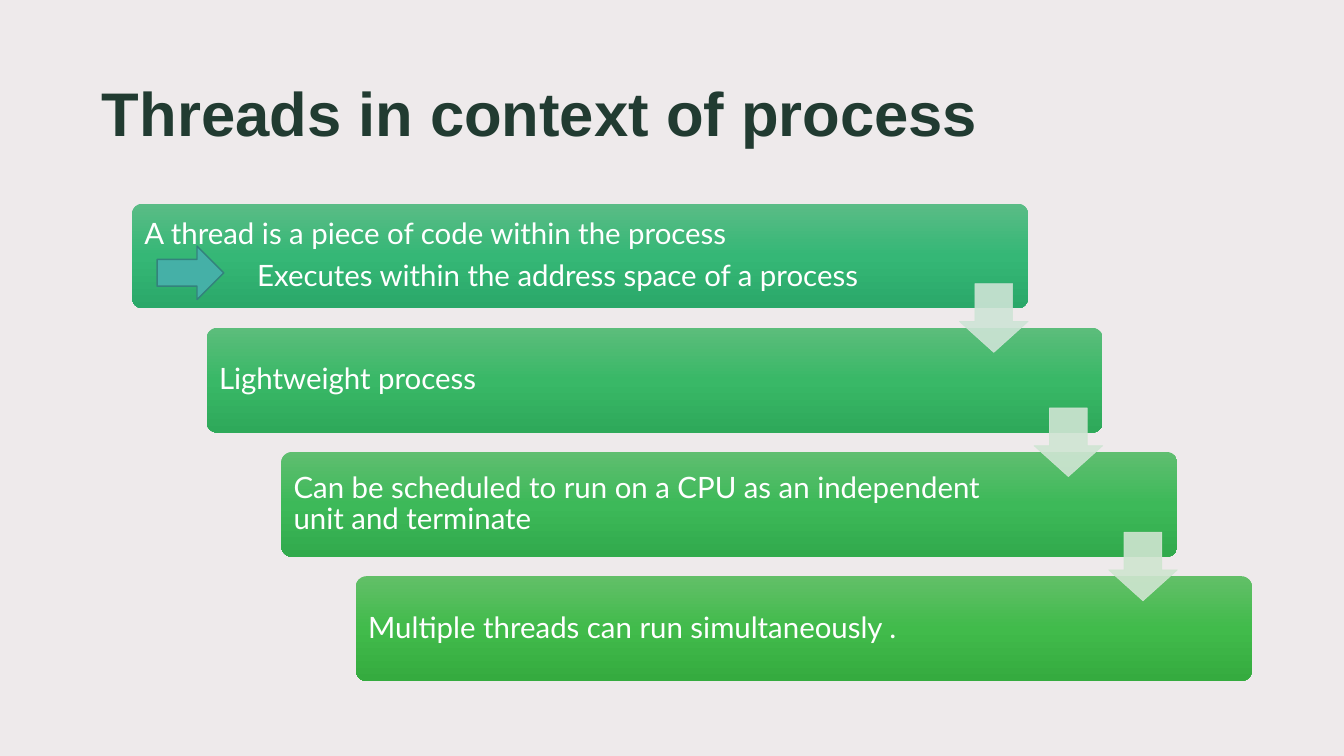
import copy

import pptx
import pptx.util
import pptx.dml.color
import pptx.enum.shapes
import pptx.enum.text
import pptx.oxml
import pptx.oxml.ns

Cm = pptx.util.Cm
Pt = pptx.util.Pt
qn = pptx.oxml.ns.qn
Shape = pptx.enum.shapes.MSO_SHAPE
Anchor = pptx.enum.text.MSO_ANCHOR

LEFT, TOP = 3.33, 5.13
STEP_X, STEP_Y = 1.88, 3.13
BAR_W, BAR_H = 22.58, 2.64
EDGE = 0.08

# Each step: its lines as (text, indent in cm), then its gradient colours
STEPS = [
    ([("A thread is a piece of code within the process", 0),
      ("Executes within the address space of a process", 2.84)],
     ("5ABC86", "35B776", "2AA869")),
    ([("Lightweight process", 0)],
     ("5CBD7B", "39B867", "2EA95A")),
    ([("Can be scheduled to run on a CPU as an independent unit and terminate", 0)],
     ("5FBE70", "3DB959", "31AA4C")),
    ([("Multiple threads can run simultaneously .", 0)],
     ("62BF68", "41BB4B", "35AB3F")),
]
ARROWS = ["CEE4D6", "CFE5D3", "CFE5D0"]


def rgb(code):
    return pptx.dml.color.RGBColor.from_string(code)


def add_form(slide, kind, x, y, w, h):
    form = slide.shapes.add_shape(kind, Cm(x), Cm(y), Cm(w), Cm(h))
    form.shadow.inherit = False
    return form


def shade(form, colors):
    """Fill from top to bottom with evenly spaced gradient stops."""
    form.fill.gradient()
    form.fill.gradient_angle = 270
    stops = form._element.spPr.find(".//" + qn("a:gsLst"))
    stops.insert(1, copy.deepcopy(stops[0]))
    for i, (stop, color) in enumerate(zip(form.fill.gradient_stops, colors)):
        stop.position = i / (len(colors) - 1)
        stop.color.rgb = rgb(color)


def fade(form, percent):
    """Set the opacity of every plain colour in the fill and line."""
    for color in form._element.spPr.iter(qn("a:srgbClr")):
        alpha = pptx.oxml.parse_xml(
            '<a:alpha xmlns:a="http://schemas.openxmlformats.org/'
            f'drawingml/2006/main" val="{percent * 1000}"/>')
        color.append(alpha)


def add_box(slide, x, y, w, h, inset, anchor):
    box = slide.shapes.add_textbox(Cm(x), Cm(y), Cm(w), Cm(h))
    frame = box.text_frame
    frame.word_wrap = True
    frame.vertical_anchor = anchor
    frame.margin_left = frame.margin_right = Cm(0.23)
    frame.margin_top = frame.margin_bottom = Cm(inset)
    return frame


def add_run(para, text, font, size, color, bold=False):
    run = para.add_run()
    run.text = text
    run.font.name = font
    run.font.size = Pt(size)
    run.font.bold = bold
    run.font.color.rgb = rgb(color)


def add_title(slide, text):
    frame = add_box(slide, 2.34, 1.55, 28.75, 3.56, 0.33, Anchor.TOP)
    add_run(frame.paragraphs[0], text, "Arial", 44, "213B31", True)


def add_bar(slide, x, y, lines, colors):
    bar = add_form(slide, Shape.ROUNDED_RECTANGLE, x, y, BAR_W, BAR_H)
    bar.adjustments[0] = 0.1
    bar.line.fill.background()
    shade(bar, colors)
    frame = add_box(slide, x + EDGE, y + EDGE, 18.8, BAR_H - 2 * EDGE,
                    0.23, Anchor.MIDDLE)
    for i, (text, indent) in enumerate(lines):
        para = frame.add_paragraph() if i else frame.paragraphs[0]
        para.line_spacing = 0.9
        para.space_after = Pt(7.35)
        if indent:
            para._p.get_or_add_pPr().set("marL", str(Cm(indent)))
        add_run(para, text, "Lato", 21, "FFFFFF")


def add_arrow(slide, kind, x, y, w, h, fill, line, width):
    arrow = add_form(slide, kind, x, y, w, h)
    arrow.fill.solid()
    arrow.fill.fore_color.rgb = rgb(fill)
    arrow.line.color.rgb = rgb(line)
    arrow.line.width = Pt(width)
    return arrow


def main():
    deck = pptx.Presentation()
    deck.slide_width, deck.slide_height = Cm(33.87), Cm(19.05)
    slide = deck.slides.add_slide(deck.slide_layouts[6])
    slide.background.fill.solid()
    slide.background.fill.fore_color.rgb = rgb("EEEAEB")

    add_title(slide, "Threads in context of process")
    for i, (lines, colors) in enumerate(STEPS):
        add_bar(slide, LEFT + i * STEP_X, TOP + i * STEP_Y, lines, colors)
    for i, color in enumerate(ARROWS):
        arrow = add_arrow(slide, Shape.DOWN_ARROW, LEFT + 20.85 + i * STEP_X,
                          TOP + 2.02 + i * STEP_Y, 1.73, 1.73, color, color, 0.5)
        arrow.adjustments[0] = 0.55
        arrow.adjustments[1] = 0.45
        fade(arrow, 90)
    add_arrow(slide, Shape.RIGHT_ARROW, 3.96, 6.2, 1.68, 1.35,
              "45B0A7", "33827C", 1)
    deck.save("out.pptx")


if __name__ == "__main__":
    main()
